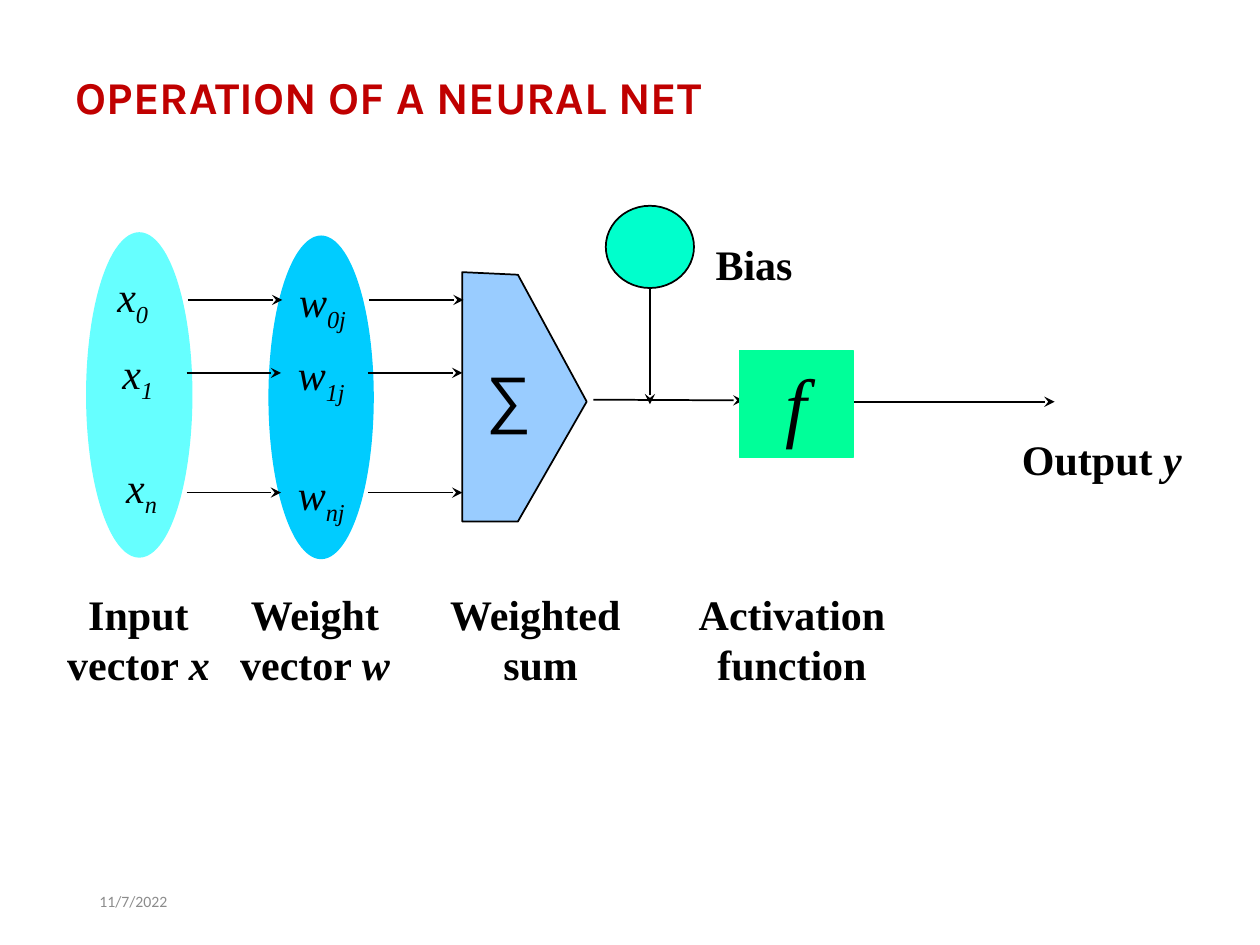
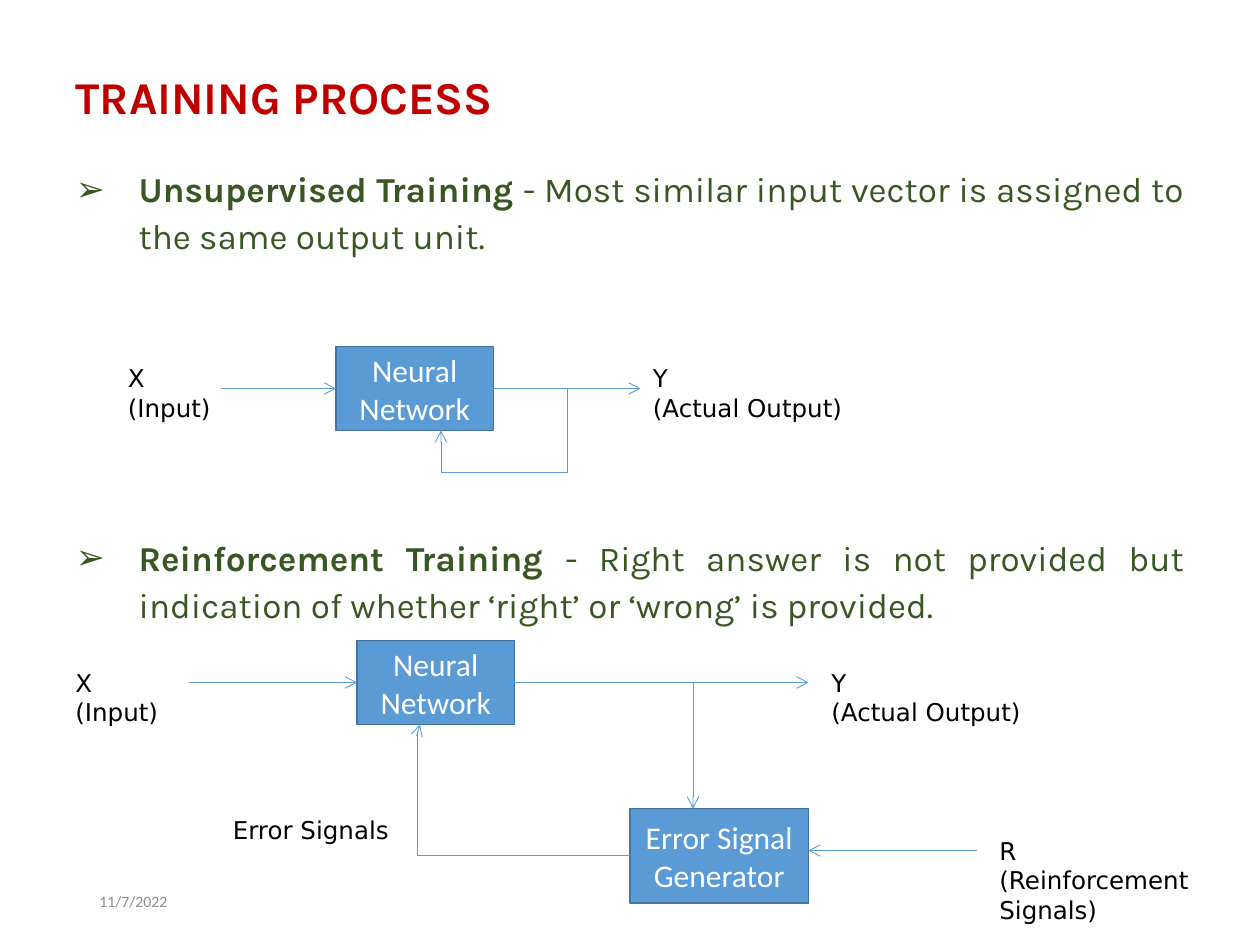
from lxml import etree
from pptx import Presentation
from pptx.dml.color import RGBColor
from pptx.enum.shapes import MSO_CONNECTOR, MSO_SHAPE
from pptx.enum.text import MSO_ANCHOR, MSO_AUTO_SIZE, PP_ALIGN
from pptx.oxml.ns import qn
from pptx.util import Pt

LEFT, CENTER, JUST = PP_ALIGN.LEFT, PP_ALIGN.CENTER, PP_ALIGN.JUSTIFY
TOP, MIDDLE = MSO_ANCHOR.TOP, MSO_ANCHOR.MIDDLE
RECT, OVAL = MSO_SHAPE.RECTANGLE, MSO_SHAPE.OVAL
LINE, ELBOW = MSO_CONNECTOR.STRAIGHT, MSO_CONNECTOR.ELBOW

HEX = {
    "black": "000000", "white": "FFFFFF", "red": "C00000", "green": "385723",
    "gray": "8C8C8C", "cyan": "66FFFF", "sky": "00CCFF", "pale": "99CCFF",
    "mint": "00FF99", "aqua": "00FFCC", "blue": "5B9BD5", "edge": "43739E",
}
HEAD, SERIF, SANS, PLAIN = "Karla", "Times New Roman", "DejaVu Sans", "Calibri"


def color(name):
    return RGBColor.from_string(HEX[name])


class Deck:
    """Holds the style and the current slide."""

    def __init__(self):
        self.prs = Presentation()
        self.prs.slide_width, self.prs.slide_height = Pt(720), Pt(540)
        self.slide = None

    def page(self, title, layout):
        self.slide = self.prs.slides.add_slide(self.prs.slide_layouts[layout])
        self.place(self.slide.shapes.title, (36, 36, 648, 39))
        self.fill_text(self.slide.shapes.title, [title], HEAD, 26, "red",
                       bold=True)
        self.label((49.7, 500.4, 162, 28.8), ["11/7/2022"], PLAIN, 9, "gray",
                   anchor=MIDDLE)

    def place(self, shape, box):
        shape.left, shape.top, shape.width, shape.height = map(Pt, box)

    def fill_text(self, shape, paras, font, size, ink="black", bold=False,
                  italic=False, align=LEFT, anchor=TOP, wrap=True):
        """A paragraph is a string or a list of (text, mark) runs."""
        frame = shape.text_frame
        frame.auto_size = MSO_AUTO_SIZE.NONE
        frame.word_wrap, frame.vertical_anchor = wrap, anchor
        for i, runs in enumerate(paras):
            para = frame.add_paragraph() if i else frame.paragraphs[0]
            para.alignment = align
            para.font.name, para.font.size = font, Pt(size)
            para.font.bold, para.font.italic = bold, italic
            para.font.color.rgb = color(ink)
            for text, mark in [(runs, "")] if isinstance(runs, str) else runs:
                run = para.add_run()
                run.text = text
                if mark == "bold":
                    run.font.bold = True
                elif mark == "italic":
                    run.font.italic = True
                elif mark == "sub":
                    run.font._element.set("baseline", "-25000")

    def label(self, box, paras, font, size, ink="black", **style):
        shape = self.slide.shapes.add_textbox(*map(Pt, box))
        self.fill_text(shape, paras, font, size, ink, **style)

    def paint(self, shape, fill, edge=None):
        shape.shadow.inherit = False
        shape.fill.solid()
        shape.fill.fore_color.rgb = color(fill)
        if edge:
            shape.line.color.rgb = color(edge)
            shape.line.width = Pt(1)
        else:
            shape.line.fill.background()

    def shape(self, kind, box, fill, edge=None):
        shape = self.slide.shapes.add_shape(kind, *map(Pt, box))
        self.paint(shape, fill, edge)
        return shape

    def poly(self, points, fill, edge):
        first, *rest = [(Pt(x), Pt(y)) for x, y in points]
        form = self.slide.shapes.build_freeform(*first, scale=1.0)
        form.add_line_segments(rest, close=True)
        self.paint(form.convert_to_shape(), fill, edge)

    def wire(self, x1, y1, x2, y2, ink="blue", width=0.5, head="arrow",
             bend=None):
        kind = ELBOW if bend else LINE
        wire = self.slide.shapes.add_connector(kind, *map(Pt, (x1, y1, x2, y2)))
        wire.line.color.rgb = color(ink)
        wire.line.width = Pt(width)
        props = wire._element.spPr
        if head:
            etree.SubElement(props.find(qn("a:ln")), qn("a:tailEnd"), type=head)
        if bend:
            geom = props.find(qn("a:prstGeom"))
            guides = geom.find(qn("a:avLst"))
            if guides is None:
                guides = etree.SubElement(geom, qn("a:avLst"))
            etree.SubElement(guides, qn("a:gd"), name="adj1", fmla=f"val {bend}")
        etree.SubElement(props, qn("a:effectLst"))

    def dart(self, *ends):
        self.wire(*ends, ink="black", width=1, head="stealth")

    def term(self, box, paras, **style):
        self.label(box, paras, SERIF, 24, wrap=False, **style)

    def note(self, box, *paras):
        self.label(box, paras, SANS, 14)

    def block(self, box, text):
        shape = self.shape(RECT, box, "blue", "edge")
        self.fill_text(shape, [text], PLAIN, 18, "white", align=CENTER,
                       anchor=MIDDLE)

    def bullets(self, box, items, gap):
        body = self.slide.placeholders[1]
        self.place(body, box)
        self.fill_text(body, items, HEAD, 20, "green", align=JUST)
        for i, para in enumerate(body.text_frame.paragraphs):
            para.line_spacing = 1.1
            para.space_before = Pt(gap if i else 0)
            props = para._p.get_or_add_pPr()
            props.set("marL", str(Pt(36)))
            props.set("indent", str(Pt(-36)))
            bullet = etree.Element(qn("a:buChar"), char="➢")
            props.find(qn("a:defRPr")).addprevious(bullet)


def operation(deck):
    deck.page("OPERATION OF A NEURAL NET", 5)

    # Vectors, sum, bias and activation
    deck.shape(OVAL, (153.4, 134.6, 60.2, 185), "sky")
    deck.shape(OVAL, (49.7, 133.2, 59.8, 185), "cyan", "cyan")
    deck.dart(339.1, 228.4, 424.8, 228.8)
    act = deck.shape(RECT, (422.6, 200.2, 64.8, 61.2), "mint", "mint")
    deck.fill_text(act, ["f"], SERIF, 44, italic=True, align=CENTER)
    deck.dart(488.2, 229.6, 602.6, 229.6)
    deck.shape(OVAL, (346.2, 117.6, 50.4, 47), "aqua", "black")
    deck.dart(371.4, 164.7, 371.4, 231)
    deck.poly([(264.2, 155.5), (264.2, 298), (296, 298), (335.3, 229.5),
               (296, 157)], "pale", "black")
    deck.label((270.7, 201.6, 40.3, 50.4), ["∑"], "Arial", 36,
               align=CENTER, wrap=False)

    # One row for each input: index, wire height, shift, place of x
    rows = [("0", 171.4, 0.7, 59, 151.2), ("1", 213.1, 0, 61.9, 194.8),
            ("n", 281.5, 0, 64.1, 260)]
    for sub, y, dx, left, top in rows:
        for start in (106.6, 210.2):
            deck.dart(start + dx, y, start + dx + 54, y)
        deck.term((162 + dx, y - 17.3, 43.2, 36),
                  [[("w", ""), (sub + "j", "sub")]], italic=True, align=CENTER)
        deck.term((left, top, 33.8, 36),
                  [[("x", ""), (sub, "sub")]], italic=True, align=CENTER)

    # Captions
    captions = [
        (30.2, 97.9, ["Input", [("vector ", ""), ("x", "italic")]]),
        (129.6, 100.8, ["Weight", [("vector ", ""), ("w", "italic")]]),
        (248.4, 121, ["Weighted ", "sum"]),
        (391, 123.1, ["Activation", "function"]),
    ]
    for left, width, paras in captions:
        deck.term((left, 332.6, width, 65), paras, bold=True, align=CENTER)
    deck.term((575.3, 244.1, 108.7, 36.7),
              [[("Output ", ""), ("y", "italic")]], bold=True, align=CENTER)
    deck.term((401.8, 132.5, 58.3, 36), ["Bias"], bold=True)


def training(deck):
    deck.page("TRAINING PROCESS", 1)
    deck.bullets((36, 90, 648, 306), [
        [("Unsupervised Training ", "bold"),
         ("- Most similar input vector is assigned to the same output unit.",
          "")],
        [("Reinforcement Training ", "bold"),
         ("- Right answer is not provided but indication of whether "
          "‘right’ or ‘wrong’ is provided.", "")],
    ], gap=158)

    # Both nets: box top, label top, x of input, wire, box, wire end, output
    nets = [(198, 204, 66, 126, 192, 366, 366),
            (366, 378, 36, 108, 204, 462, 468)]
    for top, text, left, start, net, end, out in nets:
        mid = top + 24
        deck.block((net, top, 90, 48), "Neural Network")
        deck.wire(start, mid, net, mid)
        deck.wire(net + 90, mid, end, mid)
        deck.note((left, text, 74, 41), "X", "(Input)")
        deck.note((out, text, 156, 41), "Y", "(Actual Output)")

    # Feedback of the first net
    deck.wire(324, 222, 324, 270, head=None)
    deck.wire(252, 270, 324, 270, head=None)
    deck.wire(252, 270, 252, 246)

    # Error loop of the second net
    deck.block((360, 462, 102, 54), "Error Signal Generator")
    deck.wire(360, 489, 240, 414, bend=101300)
    deck.wire(396, 390, 396, 462)
    deck.wire(558, 486, 462, 486)
    deck.note((564, 474, 156, 58), "R", "(Reinforcement Signals)")
    deck.note((126, 462, 108, 24), "Error Signals")


def main():
    deck = Deck()
    operation(deck)
    training(deck)
    deck.prs.save("out.pptx")


if __name__ == "__main__":
    main()
